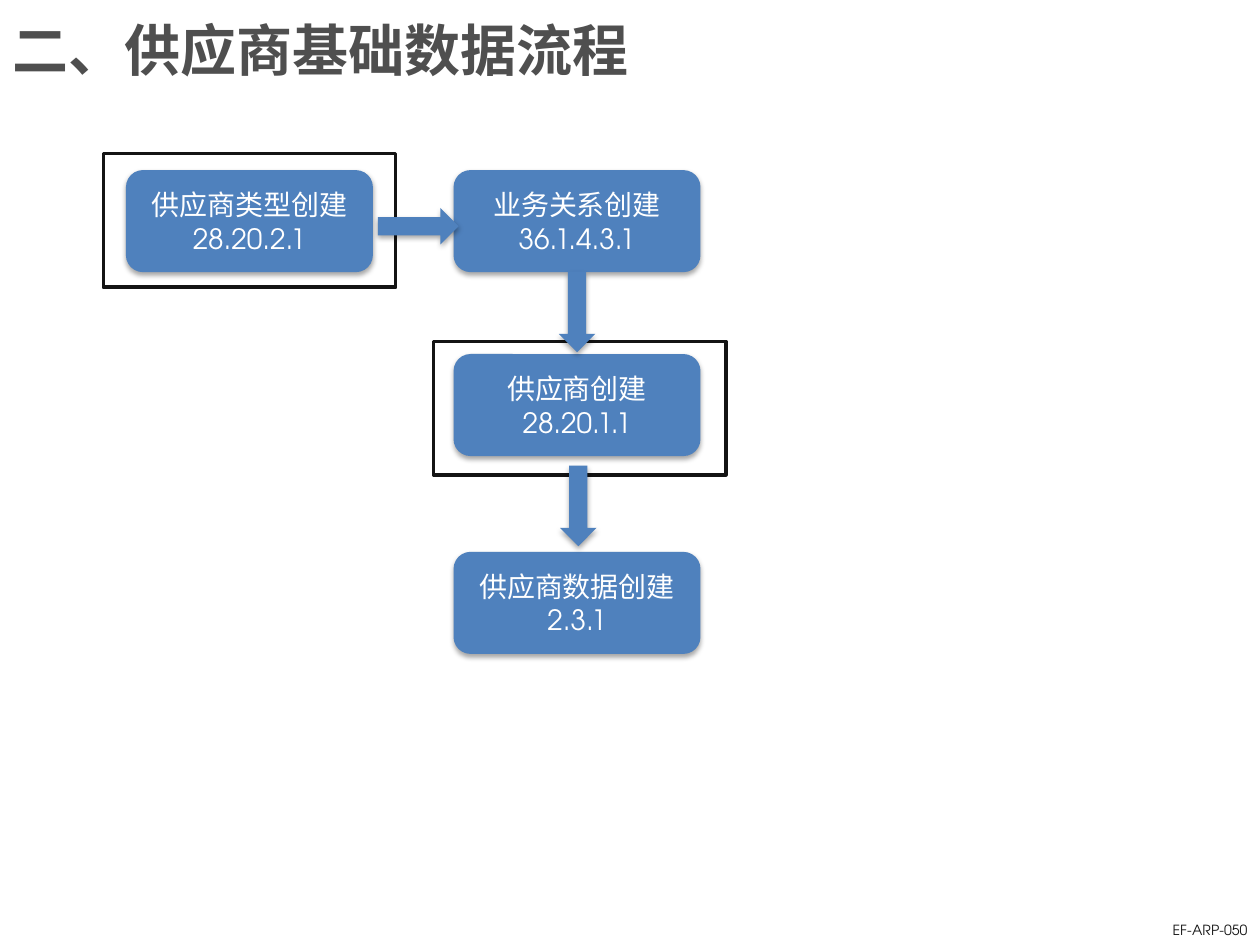
from lxml.etree import SubElement
from pptx import Presentation
from pptx.dml.color import RGBColor
from pptx.enum.shapes import MSO_SHAPE as Shape
from pptx.enum.text import MSO_ANCHOR as Anchor, MSO_AUTO_SIZE as AutoSize, PP_ALIGN as Align
from pptx.oxml.ns import qn
from pptx.util import Inches, Pt

FONT = "TeX Gyre Adventor"
BLUE, WHITE, INK, GREY = "4F81BD", "FFFFFF", "141414", "4F4F4F"
STEP_W, STEP_H = 1.96, 0.81
FRAME_W, FRAME_H = 2.32, 1.06
ARROW_W, ARROW_H = 0.64, 0.29

FRAMES = [(0.82, 1.22), (3.44, 2.71)]
STEPS = [
    (1, 1.35, "供应商类型创建", "28.20.2.1"),
    (3.6, 1.35, "业务关系创建", "36.1.4.3.1"),
    (3.6, 2.81, "供应商创建", "28.20.1.1"),
    (3.6, 4.38, "供应商数据创建", "2.3.1"),
]
ARROWS = [(3, 1.65, 0), (4.26, 2.33, 90), (4.27, 3.87, 90)]


def rgb(color):
    return RGBColor.from_string(color)


def write(tf, lines, size, color, align, anchor, bold=False):
    tf.word_wrap = True
    tf.auto_size = AutoSize.NONE
    tf.vertical_anchor = anchor
    for i, line in enumerate(lines):
        p = tf.add_paragraph() if i else tf.paragraphs[0]
        p.text = line
        p.alignment = align
        p.font.name = FONT
        p.font.size = Pt(size)
        p.font.bold = bold
        p.font.color.rgb = rgb(color)


def add_shape(slide, kind, x, y, w, h, fill):
    sp = slide.shapes.add_shape(kind, Inches(x), Inches(y), Inches(w), Inches(h))
    sp.shadow.inherit = False
    sp.fill.solid()
    sp.fill.fore_color.rgb = rgb(fill)
    sp.line.fill.background()
    return sp


def add_soft_shadow(sp):
    """Drop a 35% black shadow straight below the shape."""
    effects = sp._element.spPr.find(qn("a:effectLst"))
    shadow = SubElement(effects, qn("a:outerShdw"), blurRad=str(Pt(3.1)),
                        dist=str(Pt(1.8)), dir="5400000", rotWithShape="0")
    color = SubElement(shadow, qn("a:srgbClr"), val="000000")
    SubElement(color, qn("a:alpha"), val="35000")


def add_frame(slide, x, y):
    sp = add_shape(slide, Shape.FLOWCHART_PROCESS, x, y, FRAME_W, FRAME_H, WHITE)
    sp.line.color.rgb = rgb(INK)
    sp.line.width = Pt(2)


def add_step(slide, x, y, name, code):
    sp = add_shape(slide, Shape.ROUNDED_RECTANGLE, x, y, STEP_W, STEP_H, BLUE)
    add_soft_shadow(sp)
    write(sp.text_frame, [name, code], 16, WHITE, Align.CENTER, Anchor.MIDDLE)


def add_arrow(slide, x, y, rotation):
    sp = add_shape(slide, Shape.RIGHT_ARROW, x, y, ARROW_W, ARROW_H, BLUE)
    sp.rotation = rotation
    add_soft_shadow(sp)


def add_title(slide, text):
    title = slide.shapes.title
    title.left, title.top = Inches(0), Inches(0)
    title.width, title.height = Inches(9), Inches(0.78)
    write(title.text_frame, [text], 32, GREY, Align.LEFT, Anchor.MIDDLE, bold=True)


def add_form_number(slide, text):
    box = slide.shapes.add_textbox(Inches(9), Inches(7.26), Inches(1), Inches(0.24))
    write(box.text_frame, [text], 8, INK, Align.RIGHT, Anchor.BOTTOM)


def add_flow(slide):
    for frame in FRAMES:
        add_frame(slide, *frame)
    for step in STEPS:
        add_step(slide, *step)
    for arrow in ARROWS:
        add_arrow(slide, *arrow)


def main():
    prs = Presentation()
    prs.slide_width, prs.slide_height = Inches(10), Inches(7.5)
    slide = prs.slides.add_slide(prs.slide_layouts[5])
    add_title(slide, "二、供应商基础数据流程")
    add_form_number(slide, "EF-ARP-050")
    add_flow(slide)
    prs.save("out.pptx")


if __name__ == "__main__":
    main()
